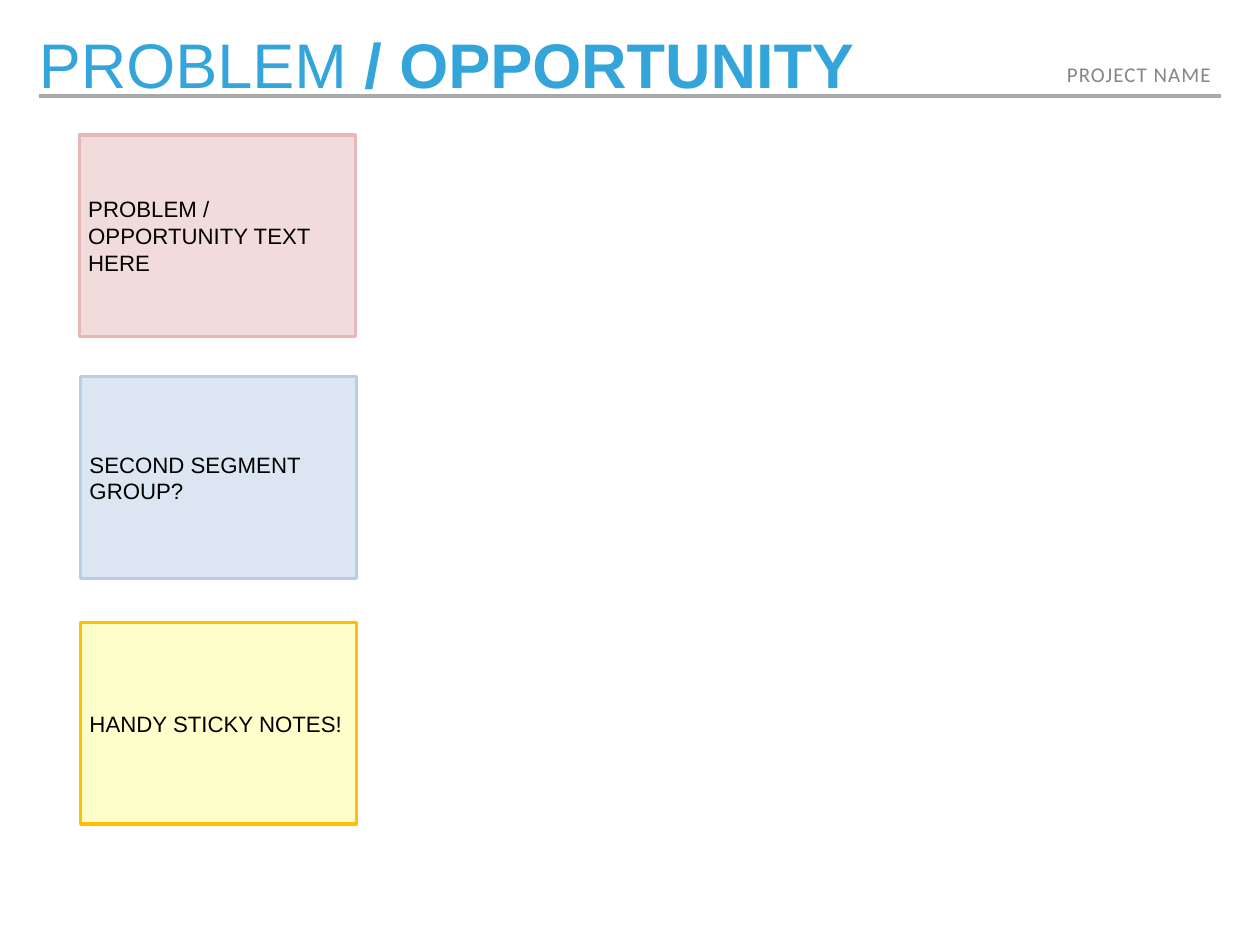
from lxml.etree import SubElement
from pptx import Presentation
from pptx.dml.color import RGBColor
from pptx.enum.shapes import MSO_CONNECTOR as Connector, MSO_SHAPE as Shape
from pptx.enum.text import MSO_ANCHOR as Anchor, PP_ALIGN as Align
from pptx.oxml.ns import qn
from pptx.util import Inches, Pt

WHITE = RGBColor(0xFF, 0xFF, 0xFF)
BLACK = RGBColor(0x00, 0x00, 0x00)
BLUE = RGBColor(0x34, 0xA5, 0xDA)
GRAY = RGBColor(0x83, 0x87, 0x87)
RULE_GRAY = RGBColor(0xA6, 0xAA, 0xA9)
PINK = RGBColor(0xF2, 0xDC, 0xDB)
ROSE = RGBColor(0xE6, 0xB9, 0xB8)
PALE_BLUE = RGBColor(0xDC, 0xE6, 0xF2)
SKY_BLUE = RGBColor(0xB9, 0xCD, 0xE5)
PALE_YELLOW = RGBColor(0xFF, 0xFF, 0xCC)
AMBER = RGBColor(0xFF, 0xC0, 0x00)


class NotesPage:
    """Draws the header and sticky notes of one slide in a shared style."""

    font = "Arial"
    line_width = Pt(2)
    note_size = (2.19, 1.6)

    def __init__(self, deck):
        self.page = deck.slides.add_slide(deck.slide_layouts[6])
        self.page.background.fill.solid()
        self.page.background.fill.fore_color.rgb = WHITE

    def frame(self, box, anchor, side, end):
        frame = box.text_frame
        frame.word_wrap = True
        frame.vertical_anchor = anchor
        frame.margin_left = frame.margin_right = Inches(side)
        frame.margin_top = frame.margin_bottom = Inches(end)
        return frame.paragraphs[0]

    def style(self, para, size, color, name=font, align=Align.LEFT):
        para.alignment = align
        para.font.name = name
        para.font.size = Pt(size)
        para.font.color.rgb = color

    def text_box(self, left, top, width, height):
        return self.page.shapes.add_textbox(
            Inches(left), Inches(top), Inches(width), Inches(height))

    def rule(self, left, right, y):
        line = self.page.shapes.add_connector(
            Connector.STRAIGHT, Inches(left), Inches(y), Inches(right), Inches(y))
        line.line.color.rgb = RULE_GRAY
        line.line.width = self.line_width
        SubElement(line._element.spPr, qn("a:effectLst"))

    def title(self, light, strong):
        box = self.text_box(0.31, 0.28, 8.07, 0.56)
        para = self.frame(box, Anchor.MIDDLE, 0, 0)
        para.line_spacing = 0.8
        self.style(para, 36, BLUE)
        para.add_run().text = light
        span = para.add_run()
        span.text = strong
        span.font.bold = True

    def project(self, text):
        box = self.text_box(1.07, 0.48, 8.59, 0.26)
        para = self.frame(box, Anchor.BOTTOM, 0.05, 0.05)
        para.line_spacing = 0.8
        self.style(para, 12, GRAY, "Calibri", Align.RIGHT)
        span = para.add_run()
        span.text = text
        span._r.get_or_add_rPr().set("spc", "60")

    def note(self, left, top, text, fill, border):
        width, height = self.note_size
        box = self.page.shapes.add_shape(
            Shape.RECTANGLE, Inches(left), Inches(top), Inches(width), Inches(height))
        box.shadow.inherit = False
        box.fill.solid()
        box.fill.fore_color.rgb = fill
        box.line.color.rgb = border
        box.line.width = self.line_width
        para = self.frame(box, Anchor.MIDDLE, 0.07, 0.04)
        para.text = text
        self.style(para, 12.7, BLACK)


def main():
    deck = Presentation()
    deck.slide_width, deck.slide_height = Inches(10), Inches(7.5)
    page = NotesPage(deck)
    page.rule(0.31, 9.69, 0.76)
    page.project("PROJECT NAME")
    page.title("PROBLEM", " / OPPORTUNITY")
    notes = [
        (0.63, 1.07, "PROBLEM / OPPORTUNITY TEXT HERE", PINK, ROSE),
        (0.64, 2.99, "SECOND SEGMENT GROUP?", PALE_BLUE, SKY_BLUE),
        (0.64, 4.94, "HANDY STICKY NOTES!", PALE_YELLOW, AMBER),
    ]
    for note in notes:
        page.note(*note)
    deck.save("out.pptx")


if __name__ == "__main__":
    main()
